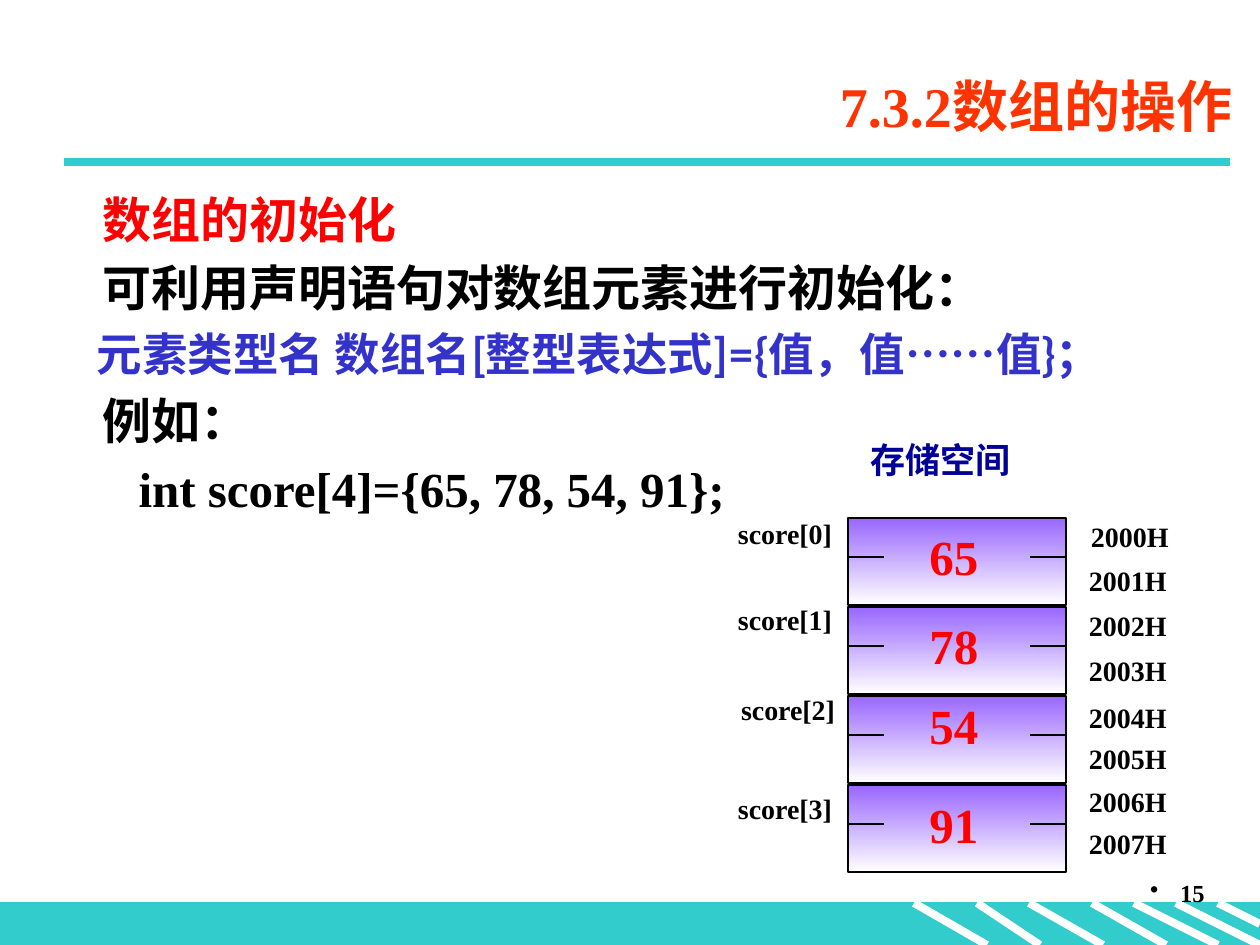
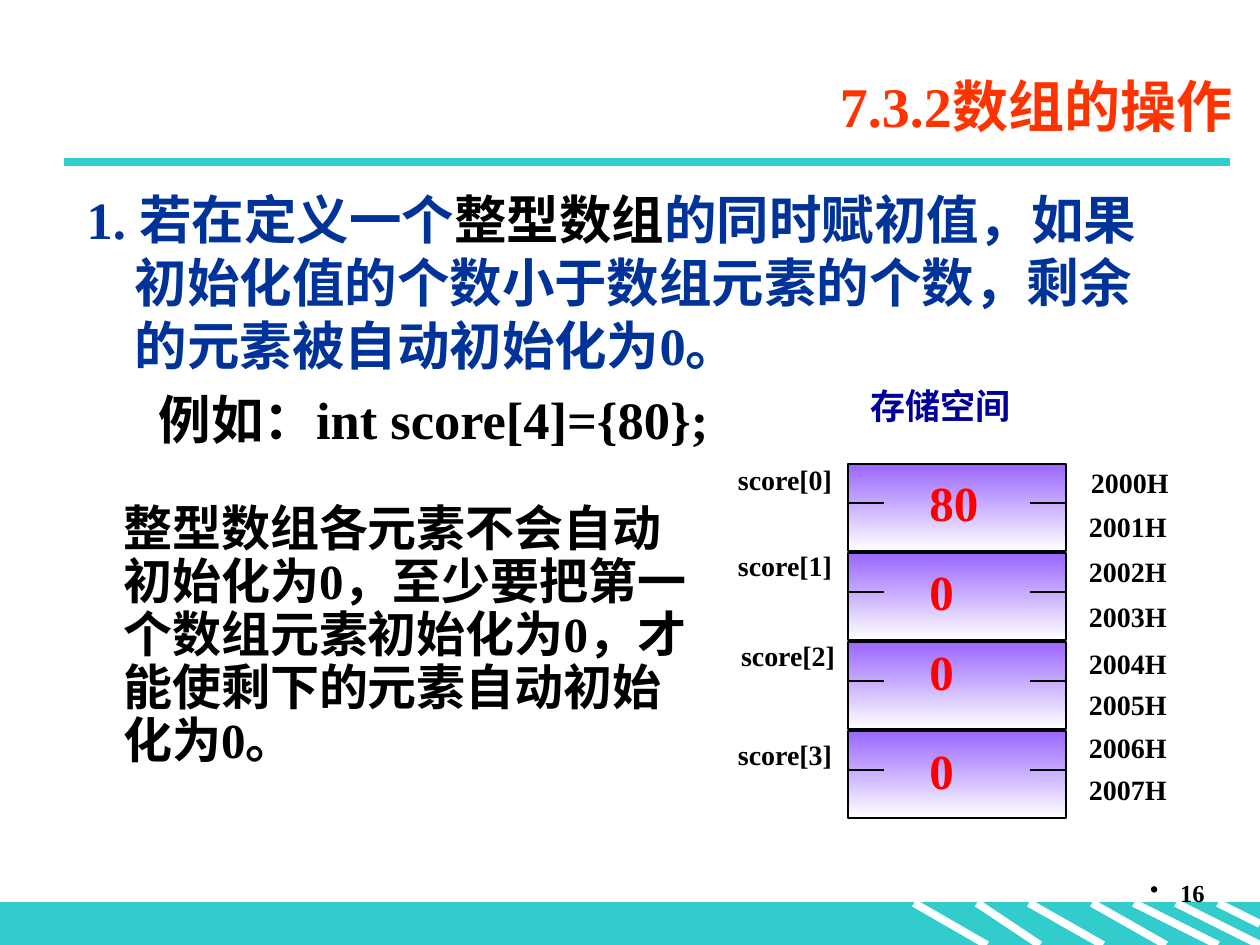
"""Builds two slides on array initialisation, each with a memory diagram."""
from dataclasses import dataclass

from lxml import etree
from pptx import Presentation
from pptx.dml.color import RGBColor
from pptx.enum.shapes import MSO_CONNECTOR, MSO_SHAPE
from pptx.enum.text import MSO_ANCHOR, MSO_AUTO_SIZE, PP_ALIGN
from pptx.oxml.ns import qn
from pptx.util import Emu, Pt

RECT = MSO_SHAPE.RECTANGLE
LINE = MSO_CONNECTOR.STRAIGHT
RIGHT = PP_ALIGN.RIGHT
MIDDLE = MSO_ANCHOR.MIDDLE
TOP = MSO_ANCHOR.TOP
FIXED = MSO_AUTO_SIZE.NONE


@dataclass(frozen=True)
class Theme:
    serif: str = "Times New Roman"
    sans: str = "Lato"
    dots: str = "Noto Sans CJK SC"
    teal: str = "33CCCC"
    white: str = "FFFFFF"
    black: str = "000000"
    orange: str = "FF3300"
    red: str = "FF0000"
    blue: str = "3333CC"
    navy: str = "003399"
    ink: str = "000099"
    violet: str = "9966FF"
    title: int = 32
    point: int = 30
    text: int = 28
    code: int = 26
    head: int = 20
    label: int = 16
    page: int = 14


T = Theme()
WIDE, HIGH = 1260, 945
TITLE = "7.3.2数组的操作"
HEAD = "存储空间"

SLIDES = [
    {
        "page": 15,
        "box": (15, 183, 1193, 656),
        "body": [
            (75, 0, T.text, [("数组的初始化", T.red, T.serif)]),
            (75, 0, T.text, [("可利用声明语句对数组元素进行初始化：", T.black, T.serif)]),
            (69, 0, T.code, [("元素类型名 数组名[整型表达式]={值，值", T.blue, T.sans),
                             ("……", T.blue, T.dots),
                             ("值}；", T.blue, T.sans)]),
            (75, 0, T.text, [("例如：", T.black, T.serif)]),
            (111, 0, T.text, [("int score[4]={65, 78, 54, 91};", T.black, T.serif)]),
        ],
        "top": 518,
        "values": [65, 78, 54, 91],
        "note": None,
    },
    {
        "page": 16,
        "box": (74, 181, 1121, 635),
        "body": [
            (48, -48, T.point, [("1. 若在定义一个", T.navy, T.serif),
                                ("整型数组", T.black, T.serif),
                                ("的同时赋初值，如果初始化值的个数小于数组元素的个数，"
                                 "剩余的元素被自动初始化为0。", T.navy, T.serif)]),
            (72, 0, T.point, [("例如：int score[4]={80};", T.black, T.serif)]),
        ],
        "top": 464,
        "values": [80, 0, 0, 0],
        "note": "整型数组各元素不会自动初始化为0，至少要把第一个数组元素初始化为0，"
                "才能使剩下的元素自动初始化为0。",
    },
]

STRIPES = [(914, 987, HIGH), (977, 1040, HIGH), (1029, 1103, HIGH),
           (1092, 1166, HIGH), (1134, 1218, HIGH), (1176, 1260, HIGH),
           (1218, 1260, 924)]
BAND = 903
CELL = {"left": 848, "wide": 218, "high": 87, "step": 89}
TICK = {"drop": 39, "wide": 36}
NAMES = [(738, 2), (738, 88), (741, 178), (738, 277)]
CODES = [(1091, 5), (1089, 49), (1089, 94), (1089, 139),
         (1089, 186), (1089, 227), (1089, 270), (1089, 312)]
DROPS = [9, 98, 178, 277]


def px(num):
    return Emu(round(num * 914400 / 126))


def rgb(code):
    return RGBColor.from_string(code)


def style(font, size, color, face=T.serif):
    font.name, font.size, font.bold = face, Pt(size), True
    font.color.rgb = rgb(color)


def place(shape, box):
    shape.left, shape.top, shape.width, shape.height = map(px, box)


def indent(para, left, first=0, mark=None):
    props = para._p.get_or_add_pPr()
    props.set("marL", str(px(left)))
    props.set("indent", str(px(first)))
    if mark:
        etree.SubElement(props, qn("a:buChar")).set("char", mark)
    else:
        etree.SubElement(props, qn("a:buNone"))


def rule(slide, ends, color, width):
    line = slide.shapes.add_connector(LINE, *map(px, ends))
    line.line.color.rgb = rgb(color)
    line.line.width = Pt(width)
    etree.SubElement(line.element.spPr, qn("a:effectLst"))
    return line


def block(slide, box, edge, width):
    shape = slide.shapes.add_shape(RECT, *map(px, box))
    shape.shadow.inherit = False
    shape.line.color.rgb = rgb(edge)
    shape.line.width = Pt(width)
    return shape


def write(slide, box, text, size, color, wrap=True, inset=True, space=0.9):
    frame = slide.shapes.add_textbox(*map(px, box)).text_frame
    frame.word_wrap = wrap
    if not inset:
        frame.margin_left = frame.margin_right = 0
        frame.margin_top = frame.margin_bottom = 0
    para = frame.paragraphs[0]
    para.text = str(text)
    para.line_spacing = space
    style(para.font, size, color)
    return para


def dress(layout, slide):
    for hold in list(layout.placeholders):
        if hold.placeholder_format.idx >= 10:
            hold.element.getparent().remove(hold.element)
    band = block(slide, (0, BAND, WIDE, HIGH - BAND), T.teal, 0.75)
    band.fill.solid()
    band.fill.fore_color.rgb = rgb(T.teal)
    parts = [band]
    parts += [rule(slide, (x, BAND, end, low), T.white, 4.5)
              for x, end, low in STRIPES]
    parts.append(rule(slide, (64, 162, 1230, 162), T.teal, 4.5))
    for part in parts:
        layout.shapes.element.append(part.element)


def fill_title(slide):
    title = slide.shapes.title
    place(title, (174, 55, 1071, 100))
    frame = title.text_frame
    frame.auto_size, frame.vertical_anchor = FIXED, MIDDLE
    para = frame.paragraphs[0]
    para.text, para.alignment = TITLE, RIGHT
    style(para.font, T.title, T.orange)


def fill_body(slide, box, rows):
    body = slide.placeholders[1]
    place(body, box)
    frame = body.text_frame
    frame.auto_size, frame.vertical_anchor = FIXED, TOP
    for num, (left, first, size, runs) in enumerate(rows):
        para = frame.add_paragraph() if num else frame.paragraphs[0]
        para.space_before = Pt(size * 0.2)
        indent(para, left, first)
        for text, color, face in runs:
            run = para.add_run()
            run.text = text
            if len(runs) > 1:
                style(run.font, size, color, face)
        if len(runs) == 1:
            style(para.font, size, color, face)


def draw_cell(slide, top):
    left, wide = CELL["left"], CELL["wide"]
    cell = block(slide, (left, top, wide, CELL["high"]), T.black, 1.25)
    cell.fill.gradient()
    cell.fill.gradient_angle = 270
    for stop, color in zip(cell.fill.gradient_stops, (T.violet, T.white)):
        stop.color.rgb = rgb(color)
    y = top + TICK["drop"]
    for x in (left, left + wide - TICK["wide"]):
        rule(slide, (x, y, x + TICK["wide"], y), T.black, 0.75)


def draw_store(slide, top, values):
    write(slide, (858, top - 81, 297, 54), HEAD, T.head, T.ink)
    for num, value in enumerate(values):
        draw_cell(slide, top + num * CELL["step"])
        write(slide, (917, top + DROPS[num], 110, 72), value, T.text, T.red)
    tags = [(f"score[{num}]", spot, 96) for num, spot in enumerate(NAMES)]
    tags += [(f"{2000 + num}H", spot, 78) for num, spot in enumerate(CODES)]
    for text, (x, drop), wide in tags:
        write(slide, (x, top + drop, wide, 34), text, T.label, T.black,
              wrap=False, inset=False)


def main():
    deck = Presentation()
    deck.slide_width, deck.slide_height = px(WIDE), px(HIGH)
    layout = deck.slide_layouts[1]
    for num, data in enumerate(SLIDES):
        slide = deck.slides.add_slide(layout)
        if num == 0:
            dress(layout, slide)
        fill_title(slide)
        fill_body(slide, data["box"], data["body"])
        draw_store(slide, data["top"], data["values"])
        if data["note"]:
            write(slide, (111, 498, 595, 280), data["note"], T.text, T.black)
        page = write(slide, (955, 872, 262, 63), data["page"], T.page,
                     T.black, space=1.0)
        page.alignment = RIGHT
        page._p.pPr.remove(page._p.pPr.find(qn("a:defRPr")))
        indent(page, 30, -30, "•")
        style(page.font, T.page, T.black)
    deck.save("out.pptx")


if __name__ == "__main__":
    main()
